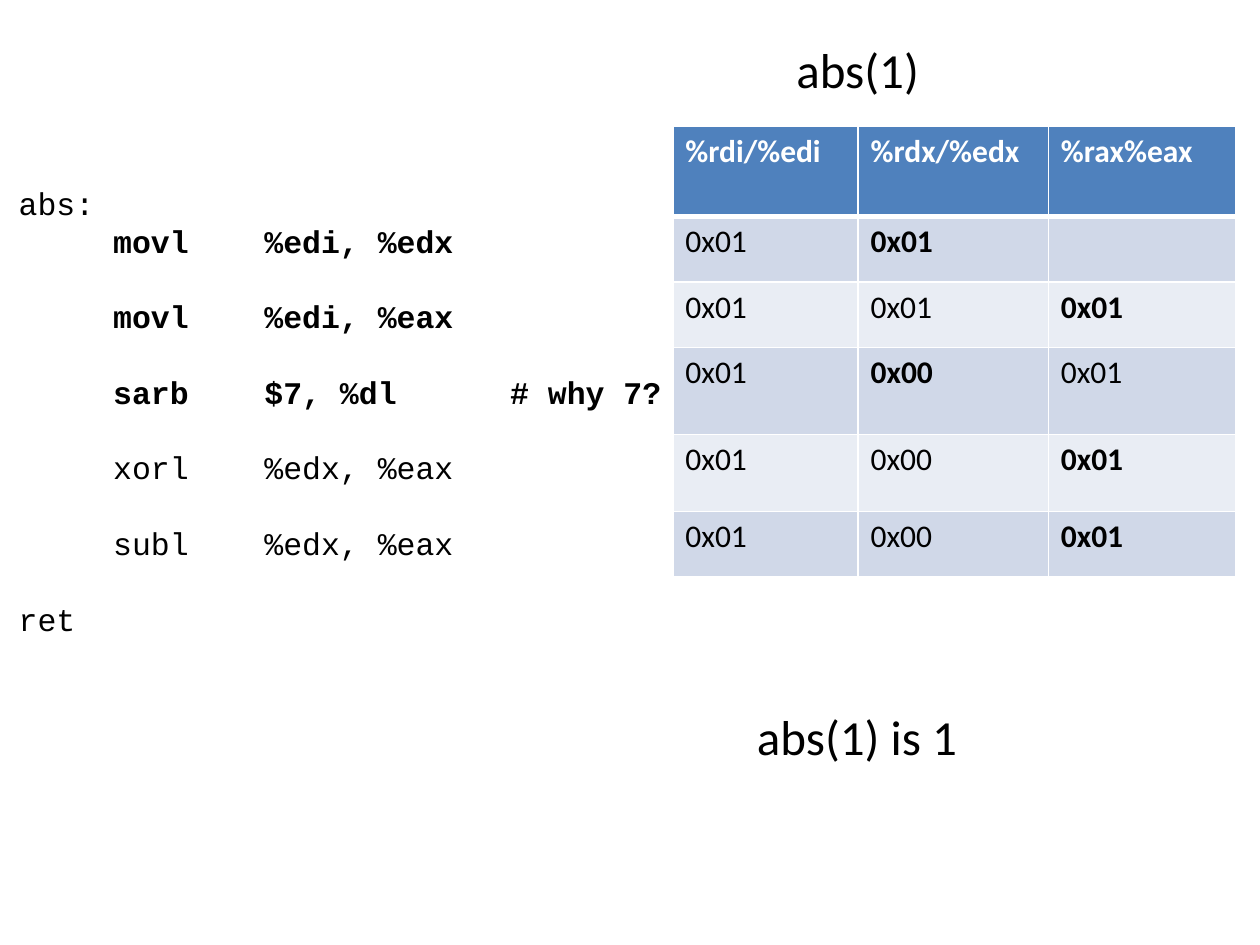
from lxml.etree import SubElement
from pptx import Presentation
from pptx.dml.color import RGBColor
from pptx.enum.text import MSO_ANCHOR, MSO_AUTO_SIZE, PP_ALIGN
from pptx.oxml.ns import qn
from pptx.util import Inches, Pt

COLORS = {"text": "000000", "header": "4F81BD", "light": "E9EDF4",
          "dark": "D0D8E8", "white": "FFFFFF"}
COLUMNS, ROWS = 100, 75  # grid cells across and down the slide


class SlideBuilder:
    body_font, code_font = "Calibri", "Courier New"
    caption_size, body_size, code_line = 28, 18, 21.6

    def __init__(self, presentation):
        self.slide = presentation.slides.add_slide(presentation.slide_layouts[5])
        self.column = presentation.slide_width / COLUMNS
        self.row = presentation.slide_height / ROWS

    def area(self, left, top, width, height):
        return (int(left * self.column), int(top * self.row),
                int(width * self.column), int(height * self.row))

    def style(self, paragraph, size, font=body_font, color="text", bold=False):
        paragraph.alignment = PP_ALIGN.LEFT
        for run in paragraph.runs:
            run.font.name, run.font.size, run.font.bold = font, Pt(size), bold
            run.font.color.rgb = RGBColor.from_string(COLORS[color])

    def fill_caption(self, shape, text):
        frame = shape.text_frame
        frame.text = text
        frame.word_wrap = True
        frame.auto_size = MSO_AUTO_SIZE.SHAPE_TO_FIT_TEXT
        frame.vertical_anchor = MSO_ANCHOR.TOP
        self.style(frame.paragraphs[0], self.caption_size)

    def title(self, text, *place):
        shape = self.slide.shapes.title
        shape.left, shape.top, shape.width, shape.height = self.area(*place)
        self.fill_caption(shape, text)

    def caption(self, text, *place):
        self.fill_caption(self.slide.shapes.add_textbox(*self.area(*place)), text)

    def code(self, lines, *place):
        """Each line is (text, bold, lines of space before)."""
        frame = self.slide.shapes.add_textbox(*self.area(*place)).text_frame
        frame.word_wrap = False
        for index, (text, bold, gap) in enumerate(lines):
            paragraph = frame.add_paragraph() if index else frame.paragraphs[0]
            paragraph.text = text
            paragraph.line_spacing = Pt(self.code_line)
            paragraph.space_before = Pt(gap * self.code_line)
            self.style(paragraph, self.body_size, self.code_font, bold=bold)

    def borders(self, cell, bottom):
        properties = cell._tc.get_or_add_tcPr()
        for side, points in (("L", 1), ("R", 1), ("T", 1), ("B", bottom)):
            line = SubElement(properties, qn(f"a:ln{side}"), w=str(Pt(points)))
            fill = SubElement(line, qn("a:solidFill"))
            SubElement(fill, qn("a:srgbClr"), val=COLORS["white"])

    def table(self, rows, left, top, widths, heights):
        """A leading * marks a bold value."""
        place = self.area(left, top, sum(widths), sum(heights))
        table = self.slide.shapes.add_table(len(rows), len(widths), *place).table
        for column, width in zip(table.columns, widths):
            column.width = int(width * self.column)
        for index, (values, height) in enumerate(zip(rows, heights)):
            table.rows[index].height = int(height * self.row)
            header = index == 0
            fill = "header" if header else ("light", "dark")[index % 2]
            for number, value in enumerate(values):
                cell = table.cell(index, number)
                # The rule under the header is shared with the first body row
                self.borders(cell, 3 if header else 1)
                cell.fill.solid()
                cell.fill.fore_color.rgb = RGBColor.from_string(COLORS[fill])
                cell.text_frame.text = value.lstrip("*")
                self.style(cell.text_frame.paragraphs[0], self.body_size,
                           color="white" if header else "text",
                           bold=header or value.startswith("*"))


def main():
    presentation = Presentation()
    presentation.slide_width, presentation.slide_height = Inches(10), Inches(7.5)
    builder = SlideBuilder(presentation)

    # Assembly code
    builder.code([
        ("abs:", False, 0),
        ("     movl    %edi, %edx", True, 0),
        ("     movl    %edi, %eax", True, 1),
        ("     sarb    $7, %dl      # why 7?", True, 1),
        ("     xorl    %edx, %eax", False, 1),
        ("     subl    %edx, %eax", False, 1),
        ("ret", False, 1),
    ], 0.5, 14.1, 53.3, 40.4)

    # Function call and its register trace
    builder.title("abs(1)", 62.2, 2.6, 33.3, 5.7)
    builder.table([
        ("%rdi/%edi", "%rdx/%edx", "%rax%eax"),
        ("0x01", "*0x01", ""),
        ("0x01", "0x01", "*0x01"),
        ("0x01", "*0x00", "0x01"),
        ("0x01", "0x00", "*0x01"),
        ("0x01", "0x00", "*0x01"),
    ], 53.4, 10, (14.7, 15.1, 14.9), (7.2, 5.2, 5.2, 6.9, 6.1, 5.2))

    # Result
    builder.caption("abs(1) is 1", 59.1, 55.6, 33.3, 5.7)
    presentation.save("out.pptx")


if __name__ == "__main__":
    main()
